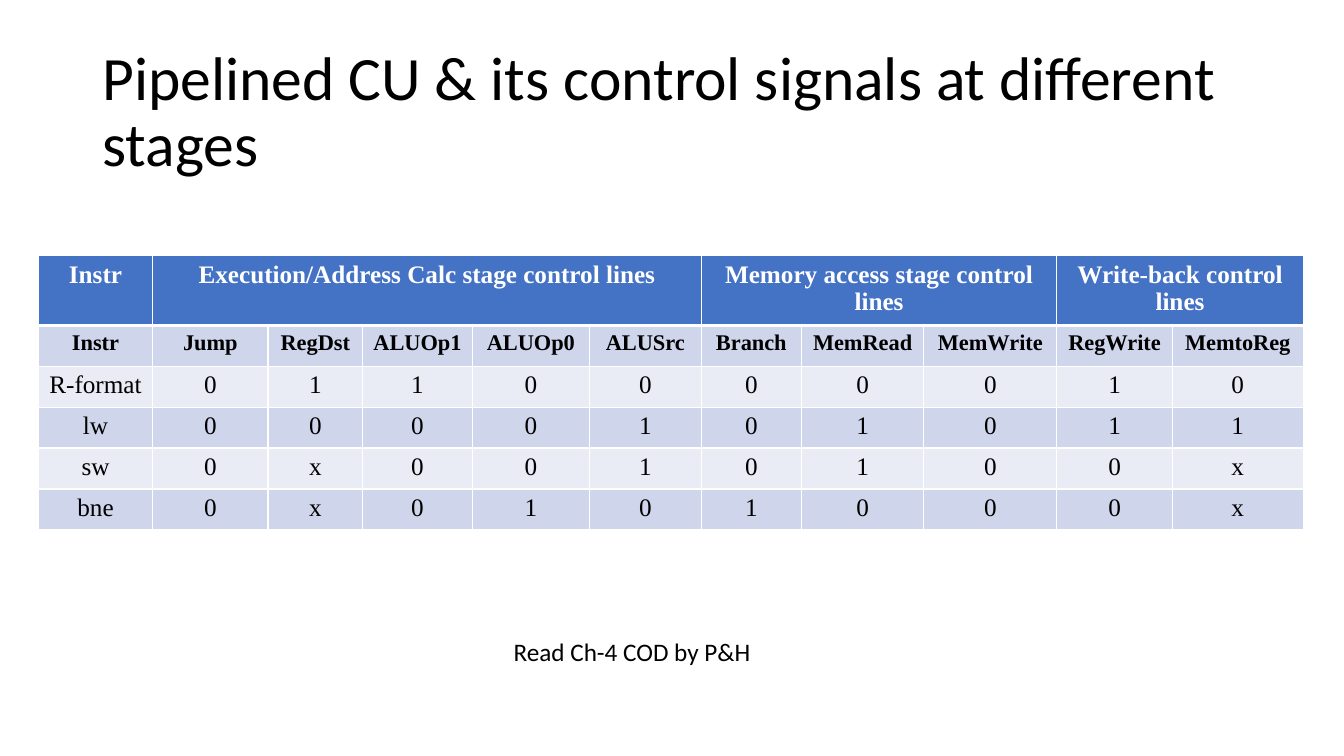
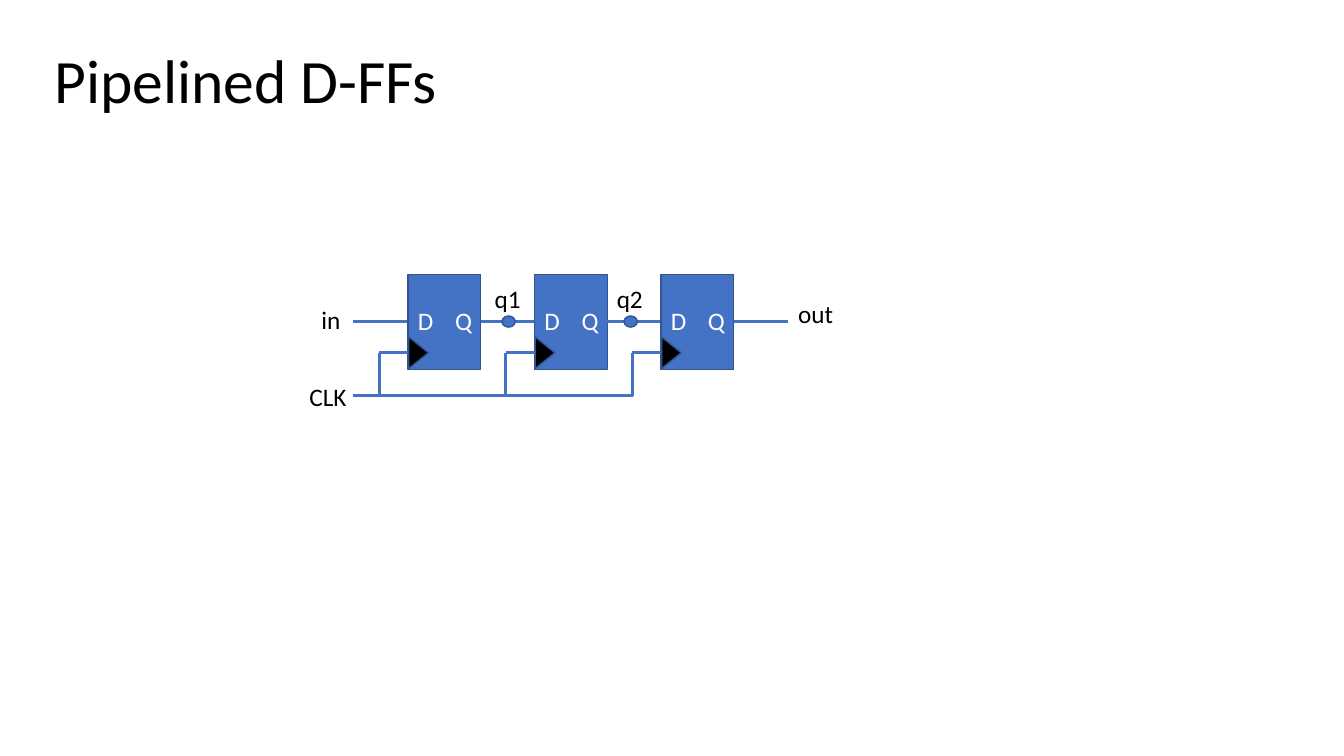
from dataclasses import dataclass

from lxml import etree
from pptx import Presentation
from pptx.dml.color import RGBColor
from pptx.enum import shapes as kinds, text as txt
from pptx.oxml.ns import qn
from pptx.util import Pt


@dataclass(frozen=True)
class Theme:
    sans: str = "Calibri"
    serif: str = "Times New Roman"
    black: str = "000000"
    white: str = "FFFFFF"
    blue: str = "4472C4"
    edge: str = "325491"
    bands: tuple = ("CFD5EA", "E9EBF5")
    head: int = 44
    body: int = 18
    small: int = 16


T = Theme()
LEFT, MID = txt.PP_ALIGN.LEFT, txt.PP_ALIGN.CENTER

# Header groups: label and number of columns spanned
GROUPS = [
    ("Instr", 1),
    ("Execution/Address Calc stage control lines", 5),
    ("Memory access stage control lines", 3),
    ("Write-back control lines", 2),
]
SIGNALS = ["Instr", "Jump", "RegDst", "ALUOp1", "ALUOp0", "ALUSrc", "Branch",
           "MemRead", "MemWrite", "RegWrite", "MemtoReg"]
# Instruction and one value per signal
VALUES = [
    ("R-format", "0110000010"),
    ("lw", "0000101011"),
    ("sw", "0x0010100x"),
    ("bne", "0x0101000x"),
]
VALUES[2] = ("sw", "0x0010100x")
WIDTHS = [81.5, 82.5, 67.5, 78.5, 83.5, 80, 71.5, 87.5, 95, 82.5, 93.5]


def write(frame, words, size, color, font=T.sans, bold=False, align=LEFT):
    par = frame.paragraphs[0]
    par.alignment = align
    run = par.add_run()
    run.text = words
    run.font.name, run.font.size, run.font.bold = font, Pt(size), bold
    run.font.color.rgb = RGBColor.from_string(color)
    return par


def new_slide(deck, words, left, top, width, height):
    """Add a slide with its title placed and styled."""
    slide = deck.slides.add_slide(deck.slide_layouts[5])
    title = slide.shapes.title
    title.left, title.top = Pt(left), Pt(top)
    title.width, title.height = Pt(width), Pt(height)
    frame = title.text_frame
    frame.auto_size = txt.MSO_AUTO_SIZE.NONE
    frame.vertical_anchor = txt.MSO_ANCHOR.MIDDLE
    write(frame, words, T.head, T.black).line_spacing = 0.9
    return slide


def label(shapes, words, left, top, width, color=T.black, align=LEFT):
    box = shapes.add_textbox(Pt(left), Pt(top), Pt(width), Pt(29))
    box.text_frame.word_wrap = True
    write(box.text_frame, words, T.body, color, align=align)


def shape(shapes, kind, left, top, width, height, fill=T.blue):
    item = shapes.add_shape(kind, Pt(left), Pt(top), Pt(width), Pt(height))
    item.shadow.inherit = False
    item.fill.solid()
    item.fill.fore_color.rgb = RGBColor.from_string(fill)
    item.line.color.rgb = RGBColor.from_string(T.edge)
    item.line.width = Pt(1)
    return item


def wire(shapes, x1, y1, x2, y2):
    line = shapes.add_connector(kinds.MSO_CONNECTOR.STRAIGHT,
                                Pt(x1), Pt(y1), Pt(x2), Pt(y2))
    line.line.color.rgb = RGBColor.from_string(T.blue)
    line.line.width = Pt(2)
    etree.SubElement(line._element.spPr, qn("a:effectLst"))


def border(cell, top, bottom):
    """Draw white cell borders; must precede the fill in the XML."""
    props = cell._tc.get_or_add_tcPr()
    for side, width in (("L", 1), ("R", 1), ("T", top), ("B", bottom)):
        line = etree.SubElement(props, qn("a:ln" + side), w=str(Pt(width)))
        fill = etree.SubElement(line, qn("a:solidFill"))
        etree.SubElement(fill, qn("a:srgbClr"), val=T.white)


def paint(cell, row):
    border(cell, 3 if row == 1 else 1, 3 if row == 0 else 1)
    cell.fill.solid()
    color = T.bands[(row - 1) % 2] if row else T.blue
    cell.fill.fore_color.rgb = RGBColor.from_string(color)


def signal_table(slide):
    rows = [SIGNALS] + [[name, *bits] for name, bits in VALUES]
    frame = slide.shapes.add_table(len(rows) + 1, len(WIDTHS), Pt(27.5),
                                   Pt(182.5), Pt(sum(WIDTHS)), Pt(196))
    table = frame.table
    for col, width in zip(table.columns, WIDTHS):
        col.width = Pt(width)
    for i, row in enumerate(table.rows):
        row.height = Pt(29.2 if i else 50)
        for cell in row.cells:
            paint(cell, i)

    start = 0
    for words, span in GROUPS:
        cell = table.cell(0, start)
        if span > 1:
            cell.merge(table.cell(0, start + span - 1))
        write(cell.text_frame, words, T.body, T.white, T.serif, True, MID)
        start += span
    for i, row in enumerate(rows, 1):
        size = T.small if i == 1 else T.body
        for j, words in enumerate(row):
            write(table.cell(i, j).text_frame, words, size, T.black,
                  T.serif, i == 1, MID)


def flip_flop(shapes, left, top, data, clock, bus):
    """Draw one D-FF with its output wire and its tap from the clock bus."""
    wide, high, lead, tap = 52, 68, 39, left - 20.5
    shape(shapes, kinds.MSO_SHAPE.RECTANGLE, left, top, wide, high)
    wire(shapes, left + wide, data, left + wide + lead, data)
    label(shapes, "D", left, data - 15.5, 27, T.white)
    label(shapes, "Q", left + 26.5, data - 15.5, 27, T.white)
    mark = shape(shapes, kinds.MSO_SHAPE.ISOSCELES_TRIANGLE,
                 left - 3.75, clock - 7, 22.5, 14, T.black)
    mark.rotation = 90
    wire(shapes, tap, clock, left, clock)
    wire(shapes, tap, clock, tap, bus)


def circuit(slide):
    shapes = slide.shapes.add_group_shape().shapes
    left, pitch, count = 291.5, 90.3, 3
    data, clock, bus, start = 229.7, 252, 282.8, 252.5
    wire(shapes, start, data, left, data)
    for i in range(count):
        flip_flop(shapes, left + i * pitch, 196, data, clock, bus)
    wire(shapes, start, bus, left + (count - 1) * pitch - 20, bus)
    for words, x in (("q1", 363.3), ("q2", 450.5)):
        shape(shapes, kinds.MSO_SHAPE.OVAL, x - 4.7, data - 4, 9.4, 8)
        label(shapes, words, x - 17, 198.5, 39)
    for words, x, y, width in (("in", 222.5, 214, 32), ("CLK", 214, 268.7, 61),
                               ("out", 563, 209.5, 47)):
        label(shapes, words, x, y, width)


def main():
    deck = Presentation()
    deck.slide_width, deck.slide_height = Pt(960), Pt(540)

    slide = new_slide(
        deck, "Pipelined CU & its control signals at different stages",
        66, 28.8, 828, 104.4)
    signal_table(slide)
    label(slide.shapes, "Read Ch-4 COD by P&H", 40, 451, 823, align=MID)

    slide = new_slide(deck, "Pipelined D-FFs", 31.7, 25, 828, 69)
    circuit(slide)
    deck.save("out.pptx")


if __name__ == "__main__":
    main()
